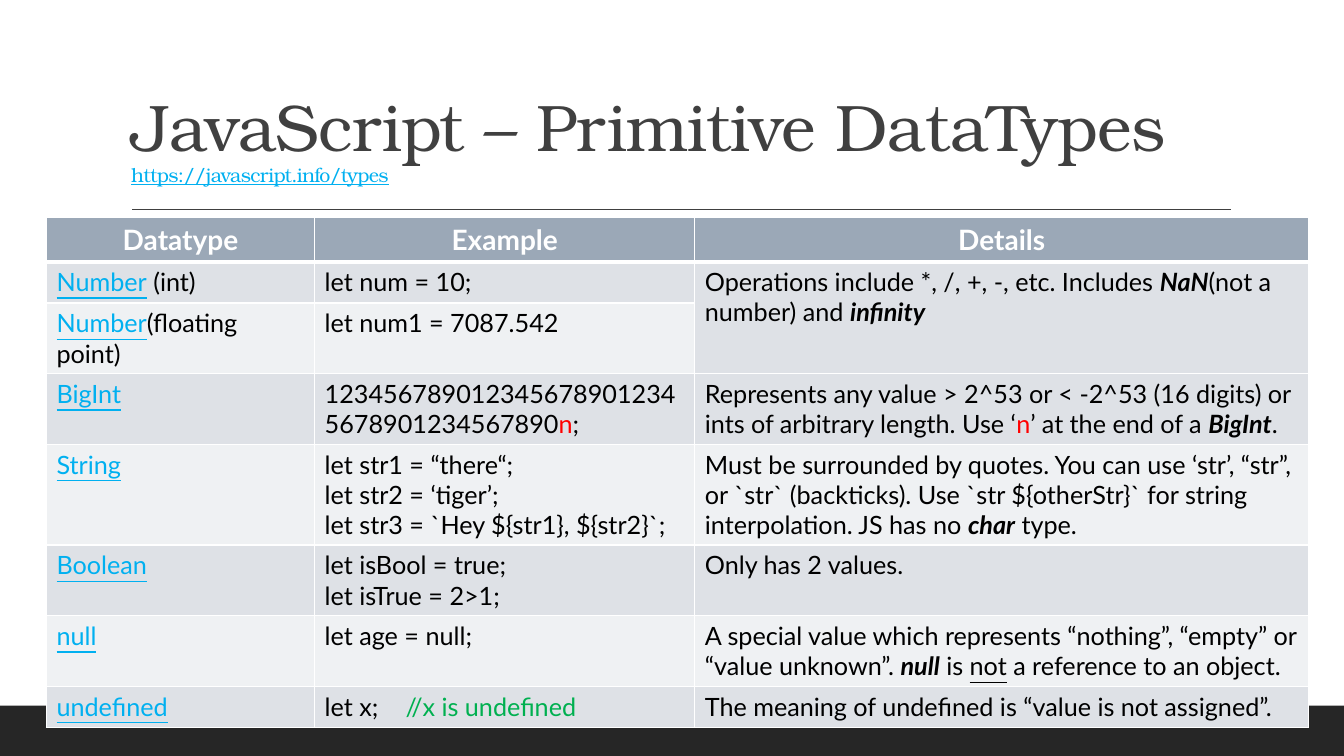
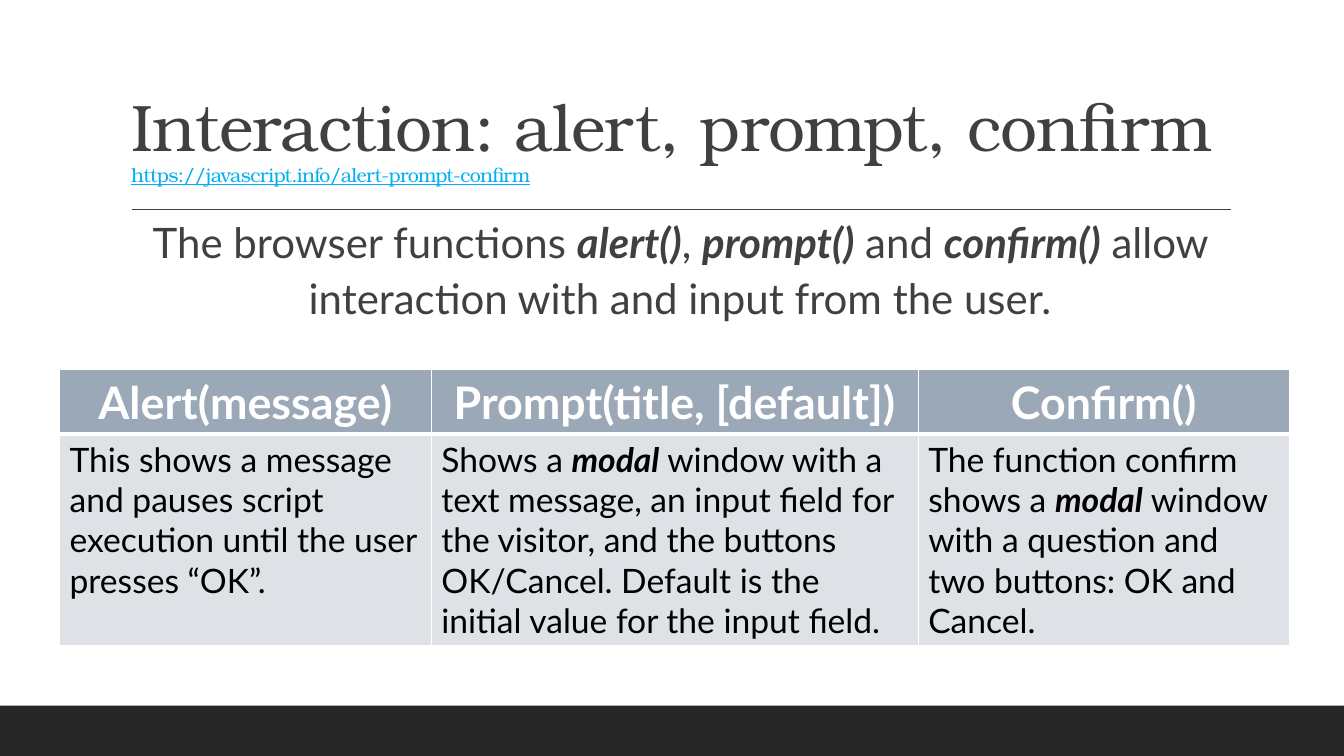
from lxml.etree import SubElement
from pptx import Presentation
from pptx.dml.color import RGBColor
from pptx.enum.shapes import MSO_CONNECTOR as Connector, MSO_SHAPE as Shape
from pptx.enum.text import MSO_ANCHOR as Anchor, MSO_AUTO_SIZE as AutoSize, PP_ALIGN as Align
from pptx.oxml.ns import qn
from pptx.util import Cm, Pt

# Shared look
WHITE = RGBColor(0xFF, 0xFF, 0xFF)
BLACK = RGBColor(0, 0, 0)
INK = RGBColor(0x40, 0x40, 0x40)
BAND = RGBColor(0x26, 0x26, 0x26)
HEADER = RGBColor(0x9B, 0xA8, 0xB7)
STRIPES = (RGBColor(0xDE, 0xE1, 0xE6), RGBColor(0xEF, 0xF1, 0xF3))
BLUE = RGBColor(0x00, 0xB0, 0xF0)
RED = RGBColor(0xFF, 0, 0)
GREEN = RGBColor(0x00, 0xB0, 0x50)
TITLE_FONT, TEXT_FONT = "TeX Gyre Bonum", "Lato"
SLIDE_WIDTH, SLIDE_HEIGHT = Cm(33.87), Cm(19.05)
ROW_HEIGHT = Cm(1.04)
COMMENT_TAB = Cm(2.04)

# Emphasis used inside the text: (text, style)
STYLES = {
    "link": {"color": BLUE, "underline": True},
    "strong": {"bold": True, "italic": True},
    "under": {"underline": True},
    "suffix": {"color": RED},
    "comment": {"color": GREEN},
}

# Content: a cell is a list of paragraphs, a paragraph is a list of runs
TYPES_TITLE = ("JavaScript – Primitive DataTypes", "https://javascript.info/types")
TYPES_HEADINGS = ["Datatype", "Example", "Details"]
TYPES_ROWS = [
    [[[("Number", "link"), " (int)"]],
     [["let num = 10;"]],
     [["Operations include *, /, +, -, etc. Includes ", ("NaN", "strong"),
       "(not a number) and ", ("infinity", "strong")]]],
    [[[("Number", "link"), "(floating point)"]],
     [["let num1 = 7087.542"]],
     []],
    [[[("BigInt", "link")]],
     [["1234567890123456789012345678901234567890", ("n", "suffix"), ";"]],
     [["Represents any value > 2^53 or < -2^53 (16 digits) or ints of arbitrary length. Use ‘",
       ("n", "suffix"), "’ at the end of a ", ("BigInt", "strong"), "."]]],
    [[[("String", "link")]],
     [["let str1 = “there“;"], ["let str2 = ‘tiger’;"], ["let str3 = `Hey ${str1}, ${str2}`;"]],
     [["Must be surrounded by quotes. You can use ‘str’, “str”, or `str` (backticks). "
       "Use `str ${otherStr}` for string interpolation. JS has no ",
       ("char", "strong"), " type."]]],
    [[[("Boolean", "link")]],
     [["let isBool = true;"], ["let isTrue = 2>1;"]],
     [["Only has 2 values."]]],
    [[[("null", "link")]],
     [["let age = null;"]],
     [["A special value which represents “nothing”, “empty” or “value unknown”. ",
       ("null", "strong"), " is ", ("not", "under"), " a reference to an object."]]],
    [[[("undefined", "link")]],
     [["let x;\t", ("//x is undefined", "comment")]],
     [["The meaning of undefined is “value is not assigned”."]]],
]

DIALOGS_TITLE = ("Interaction: alert, prompt, confirm",
                 "https://javascript.info/alert-prompt-confirm")
DIALOGS_INTRO = ["The browser functions ", ("alert()", "strong"), ", ", ("prompt()", "strong"),
                 " and ", ("confirm()", "strong"),
                 " allow interaction with and input from the user."]
DIALOGS_HEADINGS = ["Alert(message)", "Prompt(title, [default])", "Confirm()"]
DIALOGS_ROWS = [
    [[["This shows a message and pauses script execution until the user presses “OK”."]],
     [["Shows a ", ("modal", "strong"),
       " window with a text message, an input field for the visitor, and the buttons "
       "OK/Cancel. Default is the initial value for the input field."]],
     [["The function confirm shows a ", ("modal", "strong"),
       " window with a question and two buttons: OK and Cancel."]]],
]


def format_run(run, size, color, font=TEXT_FONT, bold=False, italic=False, underline=False):
    run.font.name, run.font.size = font, Pt(size)
    run.font.bold, run.font.italic, run.font.underline = bold, italic, underline
    run.font.color.rgb = color


def write_runs(paragraph, pieces, size, color):
    for piece in pieces:
        text, style = (piece, None) if isinstance(piece, str) else piece
        run = paragraph.add_run()
        run.text = text
        format_run(run, size, **{"color": color, **STYLES.get(style, {})})


def place(shape, left, top, width, height):
    shape.left, shape.top, shape.width, shape.height = Cm(left), Cm(top), Cm(width), Cm(height)


def add_slide(prs, layout_index, title):
    slide = prs.slides.add_slide(prs.slide_layouts[layout_index])

    # Bottom band and rule under the title
    band_height = Cm(1.27)
    band = slide.shapes.add_shape(Shape.RECTANGLE, 0, SLIDE_HEIGHT - band_height,
                                  SLIDE_WIDTH, band_height)
    band.shadow.inherit = False
    band.fill.solid()
    band.fill.fore_color.rgb = BAND
    band.line.fill.background()
    rule = slide.shapes.add_connector(Connector.STRAIGHT, Cm(3.33), Cm(5.28), Cm(31.01), Cm(5.28))
    rule.line.color.rgb, rule.line.width = INK, Pt(1)
    SubElement(rule._element.spPr, qn("a:effectLst"))

    # Title with its source address on the second line
    heading, address = title
    place(slide.shapes.title, 3.05, 0.79, 27.94, 4.04)
    frame = slide.shapes.title.text_frame
    frame.auto_size, frame.vertical_anchor = AutoSize.NONE, Anchor.BOTTOM
    paragraph = frame.paragraphs[0]
    paragraph.text = heading
    paragraph.add_line_break()
    paragraph.add_run().text = address
    paragraph.alignment, paragraph.line_spacing = Align.LEFT, 0.9
    heading_run, address_run = paragraph.runs
    format_run(heading_run, 47, INK, TITLE_FONT)
    format_run(address_run, 14, BLUE, TITLE_FONT, underline=True)
    for run in paragraph.runs:
        run._r.get_or_add_rPr().set("spc", "-50")
    return slide


def add_borders(cell, row):
    widths = {"L": 1, "R": 1, "T": 3 if row == 1 else 1, "B": 3 if row == 0 else 1}
    for side, width in widths.items():
        line = SubElement(cell._tc.get_or_add_tcPr(), qn(f"a:ln{side}"), w=str(Pt(width)))
        SubElement(SubElement(line, qn("a:solidFill")), qn("a:srgbClr"), val=str(WHITE))


def add_tab_stop(paragraph):
    tabs = SubElement(paragraph._p.get_or_add_pPr(), qn("a:tabLst"))
    SubElement(tabs, qn("a:tab"), pos=str(COMMENT_TAB), algn="l")


def add_text_table(slide, left, top, widths, headings, rows, heading_size, text_size):
    all_rows = [[[[heading]] for heading in headings]] + rows
    table = slide.shapes.add_table(len(all_rows), len(widths), Cm(left), Cm(top),
                                   Cm(sum(widths)), ROW_HEIGHT * len(all_rows)).table
    for column, width in zip(table.columns, widths):
        column.width = Cm(width)
    for r, row in enumerate(all_rows):
        table.rows[r].height = ROW_HEIGHT
        size, color = (text_size, BLACK) if r else (heading_size, WHITE)
        for c, paragraphs in enumerate(row):
            cell = table.cell(r, c)
            add_borders(cell, r)
            cell.fill.solid()
            cell.fill.fore_color.rgb = STRIPES[(r - 1) % 2] if r else HEADER
            for i, pieces in enumerate(paragraphs):
                frame = cell.text_frame
                paragraph = frame.add_paragraph() if i else frame.paragraphs[0]
                paragraph.alignment = Align.LEFT if r else Align.CENTER
                if "\t" in pieces[0]:
                    add_tab_stop(paragraph)
                write_runs(paragraph, pieces, size, color)
                if r == 0:
                    paragraph.runs[0].font.bold = True
    return table


def add_intro(slide, pieces):
    intro = slide.placeholders[1]
    place(intro, 3.05, 5.21, 27.94, 3.2)
    frame = intro.text_frame
    frame.auto_size, frame.vertical_anchor = AutoSize.NONE, Anchor.TOP
    frame.margin_left = frame.margin_right = 0
    paragraph = frame.paragraphs[0]
    paragraph.alignment, paragraph.line_spacing = Align.CENTER, 1.1
    paragraph.space_before, paragraph.space_after = Pt(0), Pt(2)
    properties = paragraph._p.get_or_add_pPr()
    properties.set("marL", str(Cm(0.25)))
    properties.set("indent", "0")
    SubElement(properties, qn("a:buNone"))
    write_runs(paragraph, pieces, 30, INK)


def main():
    prs = Presentation()
    prs.slide_width, prs.slide_height = SLIDE_WIDTH, SLIDE_HEIGHT

    # Primitive data types
    types_slide = add_slide(prs, 5, TYPES_TITLE)
    types_table = add_text_table(types_slide, 1.17, 5.49, (6.76, 9.58, 15.47),
                                 TYPES_HEADINGS, TYPES_ROWS, 20, 18)
    types_table.cell(1, 2).merge(types_table.cell(2, 2))

    # Browser dialogs
    dialogs_slide = add_slide(prs, 1, DIALOGS_TITLE)
    add_intro(dialogs_slide, DIALOGS_INTRO)
    add_text_table(dialogs_slide, 1.5, 9.32, (9.37, 12.27, 9.35),
                   DIALOGS_HEADINGS, DIALOGS_ROWS, 32, 24)

    prs.save("out.pptx")


if __name__ == "__main__":
    main()
